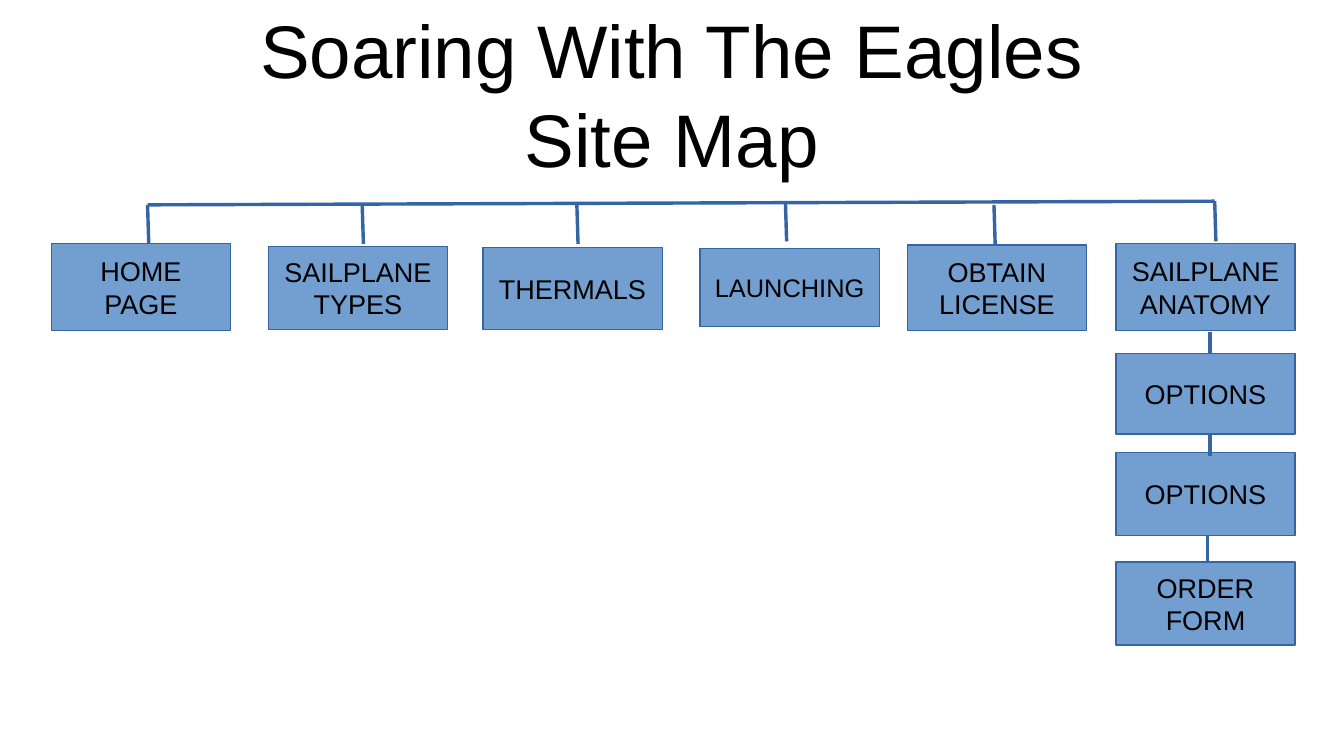
from lxml import etree
from pptx import Presentation
from pptx.dml.color import RGBColor
from pptx.enum.shapes import MSO_CONNECTOR, MSO_SHAPE
from pptx.enum.text import MSO_ANCHOR, MSO_AUTO_SIZE, PP_ALIGN
from pptx.oxml.ns import qn
from pptx.util import Pt

PX = 9144
BLACK = RGBColor(0x00, 0x00, 0x00)
BOX_BLUE = RGBColor(0x72, 0x9F, 0xCF)
LINE_BLUE = RGBColor(0x34, 0x65, 0xA4)
RECTANGLE = MSO_SHAPE.RECTANGLE
STRAIGHT = MSO_CONNECTOR.STRAIGHT
MIDDLE = MSO_ANCHOR.MIDDLE
NO_FIT = MSO_AUTO_SIZE.NONE
CENTER = PP_ALIGN.CENTER
TITLE_ONLY = 5

BOX_WIDTH = 147
LAST_COLUMN = 915
BOXES = [
    ("HOME\nPAGE", 42, 200, 71, 16),
    ("SAILPLANE\nTYPES", 220, 202, 68, 16),
    ("THERMALS", 396, 203, 67, 16),
    ("LAUNCHING", 574, 204, 64, 15),
    ("OBTAIN\nLICENSE", 744, 201, 70, 16),
    ("SAILPLANE\nANATOMY", LAST_COLUMN, 200, 71, 16),
    ("OPTIONS", LAST_COLUMN, 290, 66, 16),
    ("OPTIONS", LAST_COLUMN, 371, 68, 16),
    ("ORDER\nFORM", LAST_COLUMN, 461, 68, 16),
]
TRUNK = (121, 168, 996, 165)
DROPS = [(121, 168, 200), (297, 168, 200), (473, 168, 200),
         (644, 165, 198), (815, 168, 200), (996, 165, 198)]
LINKS = [(992, 272, 290), (992, 356, 374), (990, 439, 461)]


def set_attributes(target, values):
    """Set every attribute named in a dict of format values."""
    for name, value in values.items():
        setattr(target, name, value)


def place(shape, left, top, width, height):
    """Move and size a shape in px."""
    set_attributes(shape, {"left": left * PX, "top": top * PX,
                           "width": width * PX, "height": height * PX})


def write_text(frame, text, size, margins):
    """Fill a frame with centred black text."""
    side, edge = margins
    set_attributes(frame, {
        "text": text, "word_wrap": True, "auto_size": NO_FIT,
        "vertical_anchor": MIDDLE,
        "margin_left": side * PX, "margin_right": side * PX,
        "margin_top": edge * PX, "margin_bottom": edge * PX,
    })
    for para in frame.paragraphs:
        para.alignment = CENTER
        for span in para.runs:
            set_attributes(span.font, {"name": "Arial", "size": Pt(size)})
            span.font.color.rgb = BLACK


def style_line(line):
    """Make a line a blue hairline."""
    line.color.rgb = LINE_BLUE
    line.width = 0


def add_title(page):
    """Place and fill the title."""
    title = page.shapes.title
    place(title, 55, 8, 992, 137)
    write_text(title.text_frame, "Soaring With The Eagles\vSite Map", 44, (0, 0))


def add_box(page, text, left, top, height, size):
    """Add one labelled page box."""
    box = page.shapes.add_shape(RECTANGLE, 0, 0, 0, 0)
    place(box, left, top, BOX_WIDTH, height)
    box.shadow.inherit = False
    box.fill.solid()
    box.fill.fore_color.rgb = BOX_BLUE
    style_line(box.line)
    write_text(box.text_frame, text, size, (10, 5))


def add_line(page, *ends):
    """Add a straight line between two points in px."""
    connector = page.shapes.add_connector(STRAIGHT, *(end * PX for end in ends))
    style_line(connector.line)
    etree.SubElement(connector._element.spPr, qn("a:effectLst"))


def main():
    """Build the site map slide."""
    deck = Presentation()
    set_attributes(deck, {"slide_width": 1102 * PX, "slide_height": 620 * PX})
    page = deck.slides.add_slide(deck.slide_layouts[TITLE_ONLY])
    add_title(page)
    for box in BOXES:
        add_box(page, *box)
    add_line(page, *TRUNK)
    for x, top, bottom in DROPS:
        add_line(page, x, top, x + 1, bottom)
    for x, top, bottom in LINKS:
        add_line(page, x, top, x, bottom)
    deck.save("out.pptx")


if __name__ == "__main__":
    main()
